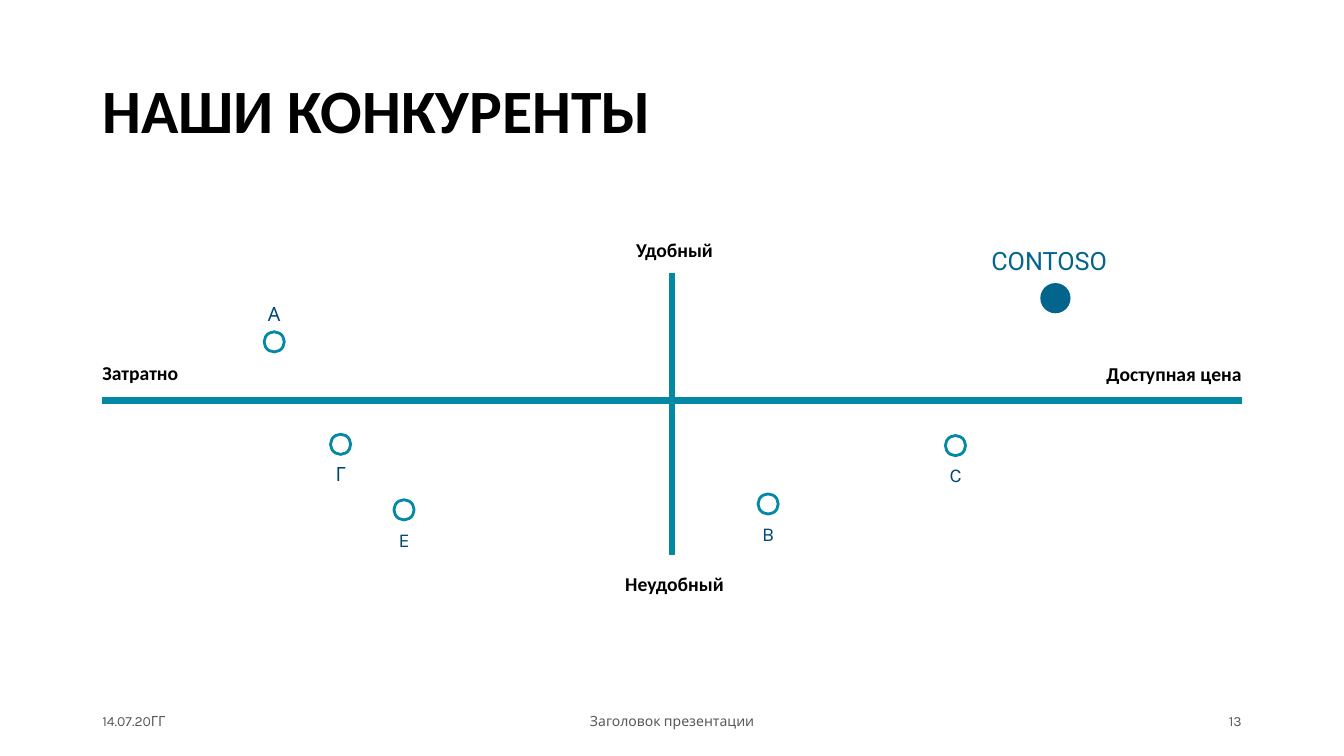
"""Build the competitor positioning map slide."""
from lxml import etree
from pptx import Presentation, util as u
from pptx.dml.color import RGBColor
from pptx.enum import shapes, text

BLACK = RGBColor(0x00, 0x00, 0x00)
GREY = RGBColor(0x59, 0x59, 0x59)
TEAL = RGBColor(0x03, 0x88, 0xA6)
BLUE = RGBColor(0x03, 0x65, 0x8C)
NAVY = RGBColor(0x02, 0x48, 0x73)
LEFT, CENTER, RIGHT = text.PP_ALIGN.LEFT, text.PP_ALIGN.CENTER, text.PP_ALIGN.RIGHT
TOP, MIDDLE = text.MSO_ANCHOR.TOP, text.MSO_ANCHOR.MIDDLE

presentation = Presentation()
presentation.slide_width = u.Inches(13.33)
presentation.slide_height = u.Inches(7.5)
slide = presentation.slides.add_slide(presentation.slide_layouts[6])
COLUMN = presentation.slide_width / 160
ROW = presentation.slide_height / 90


def grid(column, row, columns, rows):
    """Turn grid units into slide lengths."""
    return [round(n * unit) for n, unit in
            ((column, COLUMN), (row, ROW), (columns, COLUMN), (rows, ROW))]


def add_label(words, cell, size, font, color, align=LEFT, anchor=TOP, bold=False, spacing=1.0):
    """Add one line of text in a grid cell."""
    frame = slide.shapes.add_textbox(*grid(*cell)).text_frame
    frame.word_wrap = True
    frame.vertical_anchor = anchor
    frame.text = words
    paragraph = frame.paragraphs[0]
    paragraph.alignment = align
    paragraph.line_spacing = spacing
    run_font = paragraph.runs[0].font
    run_font.size = u.Pt(size)
    run_font.name = font
    run_font.bold = bold
    run_font.color.rgb = color


for start_end in ((12.2, 47.65, 147.8, 47.65), (80, 32.5, 80, 66.1)):
    axis = slide.shapes.add_connector(shapes.MSO_CONNECTOR.STRAIGHT, *grid(*start_end))
    axis.line.color.rgb = TEAL
    axis.line.width = u.Pt(5)
    properties = axis.element.spPr
    etree.SubElement(properties, properties.nsmap["a"].join("{}") + "effectLst")

add_label("НАШИ КОНКУРЕНТЫ", (11, 4.8, 138, 17.4), 44, "Calibri", BLACK,
          anchor=MIDDLE, bold=True, spacing=0.9)

for words, column, row, align, spacing in (
    ("Удобный", 67.1, 28, CENTER, 0.9),
    ("Затратно", 11, 42.7, LEFT, 0.9),
    ("Доступная цена", 122.6, 43, RIGHT, 0.8),
    ("Неудобный", 67.1, 68, CENTER, 0.8),
):
    add_label(words, (column, row, 26.4, 3.6), 14, "Calibri", BLACK, align,
              bold=True, spacing=spacing)

ABOVE, BELOW = -5.4, 1.5
for name, column, row, label_offset in (
    ("А", 32.65, 40.7, ABOVE),
    ("Г", 40.55, 52.9, BELOW),
    ("E", 48.1, 60.7, BELOW),
    ("B", 91.45, 60, BELOW),
    ("C", 113.75, 53.05, BELOW),
):
    dot = slide.shapes.add_shape(shapes.MSO_SHAPE.OVAL, *grid(column - 1.2, row - 1.2, 2.4, 2.4))
    dot.shadow.inherit = False
    dot.fill.background()
    dot.line.color.rgb = TEAL
    dot.line.width = u.Pt(2)
    add_label(name, (column - 13.8, row + label_offset, 27.6, 4.1), 14, "Karla", NAVY, CENTER)

own_dot = slide.shapes.add_shape(shapes.MSO_SHAPE.OVAL, *grid(123.85, 33.7, 3.6, 3.6))
own_dot.shadow.inherit = False
own_dot.fill.solid()
own_dot.fill.fore_color.rgb = BLUE
own_dot.line.fill.background()
add_label("CONTOSO", (115, 28.6, 19.8, 4.8), 18, "Roboto", BLUE, CENTER)

for words, column, columns, align in (
    ("14.07.20ГГ", 11, 36, LEFT),
    ("Заголовок презентации", 53, 54, CENTER),
    ("13", 113, 36, RIGHT),
):
    add_label(words, (column, 83.4, columns, 4.8), 10, "Karla", GREY, align, MIDDLE)

presentation.save("out.pptx")
